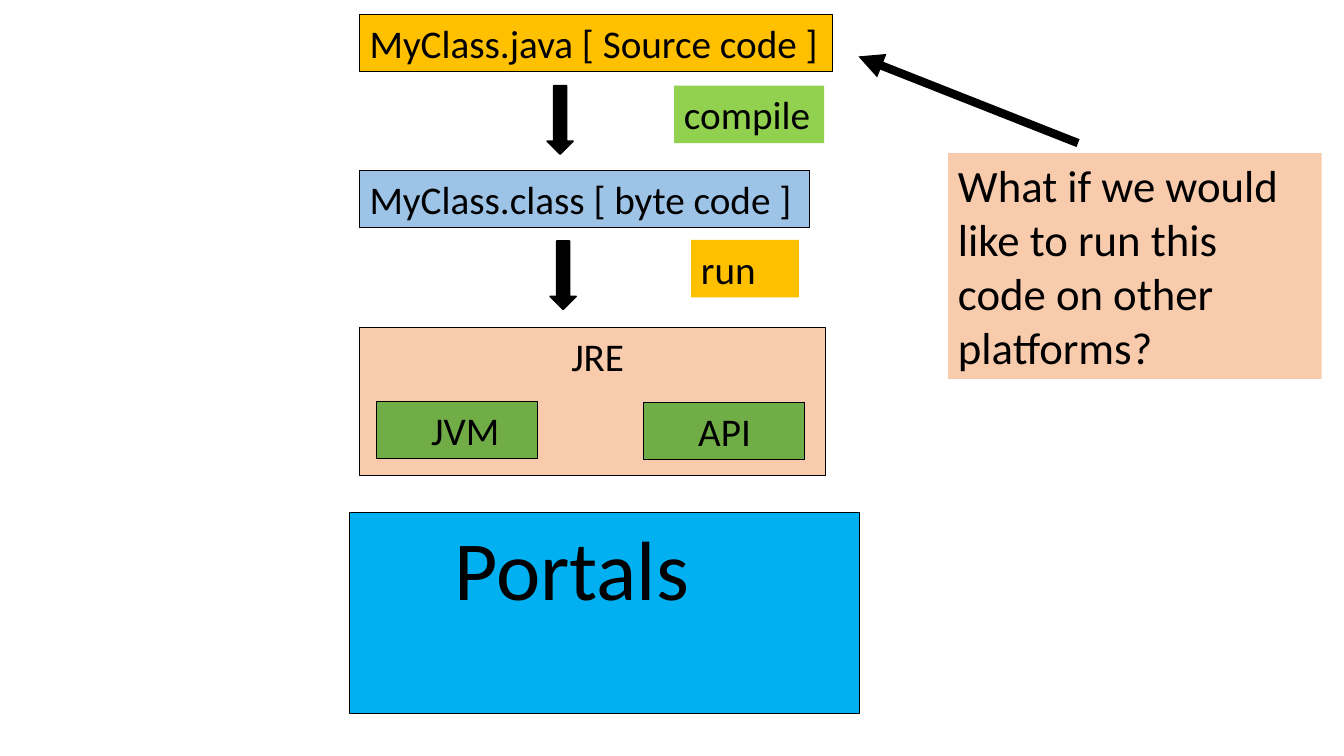
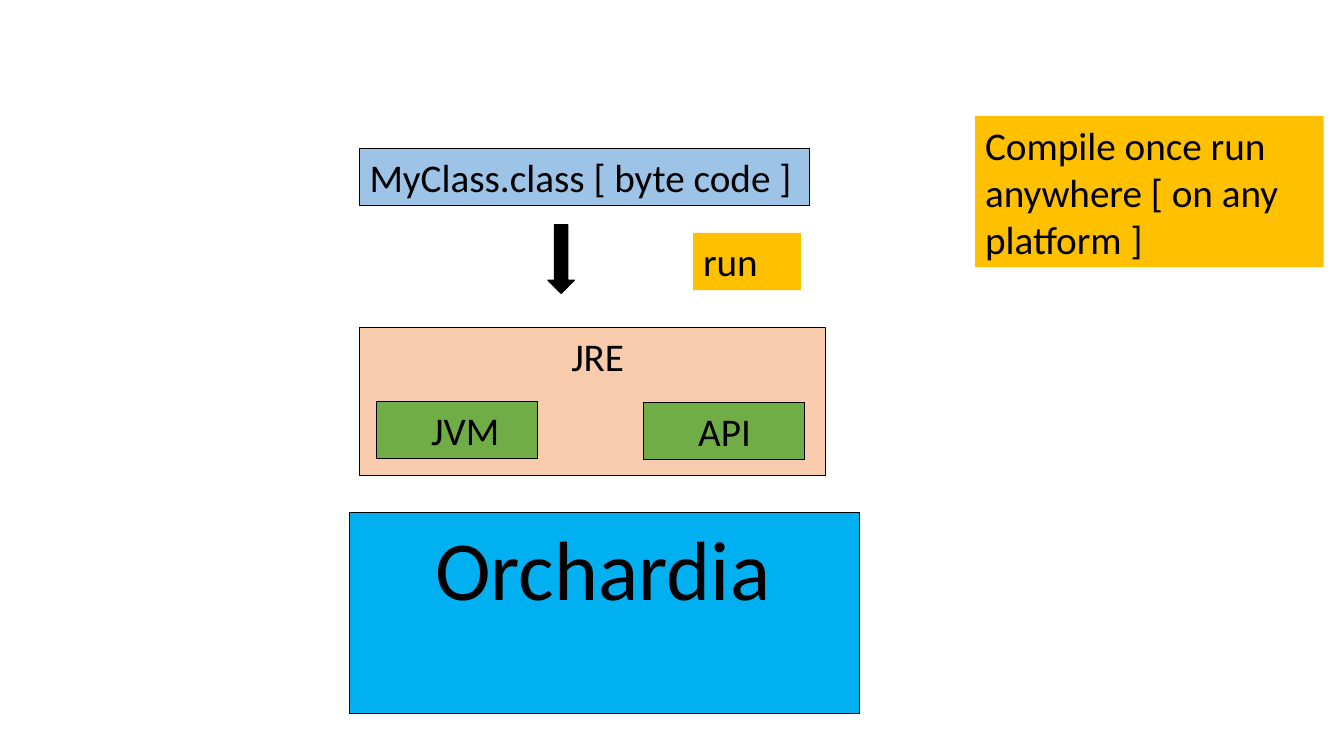
import collections

import pptx
import pptx.dml.color
import pptx.enum.shapes
import pptx.enum.text
import pptx.oxml
import pptx.oxml.ns
import pptx.util

COLUMNS, ROWS = 133.4, 75
CELL = pptx.util.Inches(0.1)
FONT = "Calibri"
COLORS = {
    "ink": "000000",
    "amber": "FFC000",
    "blue": "9DC3E6",
    "peach": "F8CBAD",
    "green": "70AD47",
    "lime": "92D050",
    "sky": "00B0F0",
}
SHAPES = pptx.enum.shapes.MSO_SHAPE
Box = collections.namedtuple("Box", "left top width height")


def cells(count):
    """Turn a count of grid cells into a length."""
    return pptx.util.Emu(round(count * CELL))


def inside(box, left, top, width, height):
    """Return a box placed from the top left corner of another."""
    return Box(box.left + left, box.top + top, width, height)


def color(name):
    """Look up a named colour."""
    return pptx.dml.color.RGBColor.from_string(COLORS[name])


def add_preset(page, kind, box, fill, line_width):
    """Add a filled shape, outlined if it has a line width."""
    shape = page.shapes.add_shape(kind, *map(cells, box))
    shape.shadow.inherit = False
    shape.fill.solid()
    shape.fill.fore_color.rgb = color(fill)
    if line_width:
        shape.line.color.rgb = color("ink")
        shape.line.width = pptx.util.Pt(line_width)
    else:
        shape.line.fill.background()
    return shape


def add_label(page, box, text, fill, size=28, indent=0, line_width=0.74):
    """Add a rectangle with left-aligned text at its top."""
    shape = add_preset(page, SHAPES.RECTANGLE, box, fill, line_width)
    frame = shape.text_frame
    frame.word_wrap = True
    frame.vertical_anchor = pptx.enum.text.MSO_ANCHOR.TOP
    frame.margin_left = cells(1 + indent)
    frame.margin_right = cells(1)
    frame.margin_top = frame.margin_bottom = cells(0.5)
    para = frame.paragraphs[0]
    para.alignment = pptx.enum.text.PP_ALIGN.LEFT
    span = para.add_run()
    span.text = text
    span.font.name = FONT
    span.font.size = pptx.util.Pt(size)
    span.font.color.rgb = color("ink")


def add_step(page, box, text, fill, tag_top=0):
    """Add a down arrow at the left of the box and a tag at its right."""
    add_preset(page, SHAPES.DOWN_ARROW, inside(box, 0, 0, 2.6, 6.8), "ink", 0.99)
    tag_width = 14.9 if text == "compile" else 10.7
    tag = inside(box, box.width - tag_width, tag_top, tag_width, 5.7)
    add_label(page, tag, text, fill, line_width=0)


def add_runtime(page, box):
    """Add the runtime panel with its two components."""
    add_label(page, box, "JRE", "peach", indent=20)
    for column, name in enumerate(("JVM", "API")):
        part = inside(box, 1.7 + 26.5 * column, 7.3 + 0.1 * column, 16, 5.7)
        add_label(page, part, name, "green", indent=4.4)


def add_platform_stack(page, box, byte_code_top, platform, indent):
    """Add the byte code, the runtime and the platform below it."""
    byte_code = inside(box, 1, byte_code_top, 44.7, 5.7)
    add_label(page, byte_code, "MyClass.class [ byte code ]", "blue")
    add_runtime(page, inside(box, 1, 32.5, 46.2, 14.7))
    floor = inside(box, 0, 50.8, box.width, 20)
    add_label(page, floor, platform, "sky", 60, indent)


def add_pointer(page, start, end):
    """Add a thick line with an arrowhead at its end."""
    pointer = page.shapes.add_connector(
        pptx.enum.shapes.MSO_CONNECTOR.STRAIGHT, *map(cells, start + end)
    )
    pointer.line.color.rgb = color("ink")
    pointer.line.width = pptx.util.Pt(6)
    head = pptx.oxml.parse_xml(
        f'<a:tailEnd {pptx.oxml.ns.nsdecls("a")} type="triangle"/>'
    )
    pointer.line._get_or_add_ln().append(head)
    properties = pointer._element.spPr
    properties.append(
        pptx.oxml.parse_xml(f'<a:effectLst {pptx.oxml.ns.nsdecls("a")}/>')
    )


def build_compile_page(page, stack):
    """Show source code compiled and run on one platform."""
    source = inside(stack, 1, 1.4, 46.9, 5.7)
    add_label(page, source, "MyClass.java [ Source code ]", "amber")
    add_platform_stack(page, stack, 16.9, "Portals", 9.4)
    add_step(page, inside(stack, 19.6, 8.5, 27.5, 6.8), "compile", "lime")
    add_step(page, inside(stack, 19.9, 23.9, 24.7, 6.8), "run", "amber", -0.1)
    question = Box(stack.left + 59.4, 15.2, 37.1, 22.4)
    text = "What if we would like to run this code on other platforms?"
    add_label(page, question, text, "peach", 32, line_width=0)
    add_pointer(page, (question.left + 12.9, question.top - 1),
                (stack.left + 50.5, 5.6))


def build_portable_page(page, stack):
    """Show the same byte code run on another platform."""
    add_platform_stack(page, stack, 14.7, "Orchardia", 7.5)
    add_step(page, inside(stack, 19.7, 22.3, 25.1, 6.8), "run", "amber", 0.8)
    answer = Box(stack.left + 62.1, 11.5, 34.6, 15)
    text = "Compile once run anywhere [ on any platform ]"
    add_label(page, answer, text, "amber", line_width=0)


def main():
    """Build and save the deck."""
    deck = pptx.Presentation()
    deck.slide_width, deck.slide_height = cells(COLUMNS), cells(ROWS)
    stack = Box(34.7, 0, 50.6, ROWS)
    for build in (build_compile_page, build_portable_page):
        build(deck.slides.add_slide(deck.slide_layouts[6]), stack)
    deck.save("out.pptx")


main()
